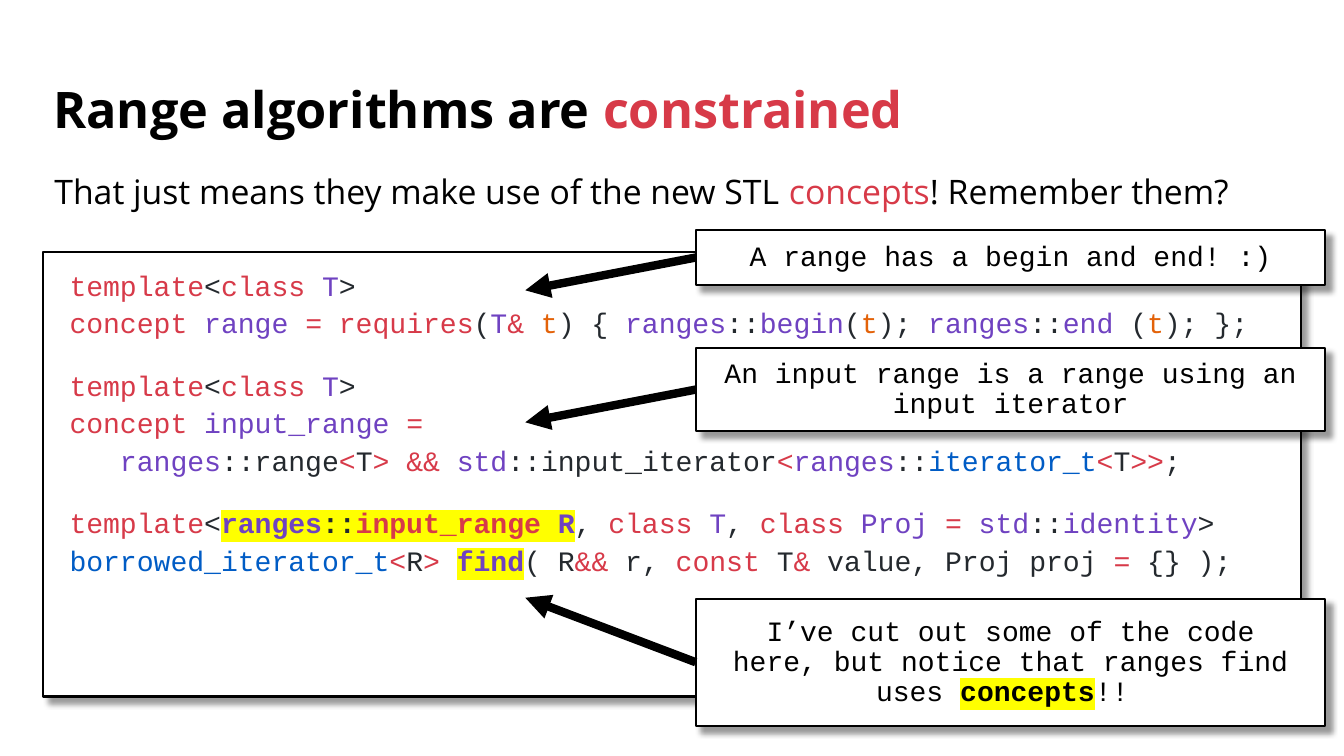
from dataclasses import dataclass

import pptx
import pptx.dml.color
import pptx.enum.shapes
import pptx.enum.text
import pptx.oxml
import pptx.oxml.ns
import pptx.util
from lxml import etree

Inches = pptx.util.Inches
Pt = pptx.util.Pt
qn = pptx.oxml.ns.qn
PP = pptx.enum.text.PP_ALIGN
ANCHOR = pptx.enum.text.MSO_ANCHOR


@dataclass(frozen=True)
class Theme:
    black: str = "000000"
    white: str = "FFFFFF"
    accent: str = "D73A48"
    red: str = "D73A49"
    purple: str = "6F42C1"
    ink: str = "24292E"
    orange: str = "E36209"
    blue: str = "005CC5"
    marker: str = "FFFF00"
    sans: str = "Open Sans"
    mono: str = "Courier New"
    title_size: float = 36
    lead_size: float = 24.1
    code_size: float = 20.1
    note_size: float = 20
    border: float = 1.5
    arrow: float = 6


T = Theme()
RED, PURPLE, INK, ORANGE, BLUE = T.red, T.purple, T.ink, T.orange, T.blue

TEMPLATE = [("template", RED), ("<", INK)]
CLASS_T = [("class ", RED), ("T", PURPLE)]
DECLARATION = TEMPLATE + CLASS_T + [(">", INK)]

CODE_BLOCKS = [
    [
        DECLARATION,
        [("concept ", RED), ("range ", PURPLE), ("= requires", RED), ("(", INK),
         ("T", PURPLE), ("& ", RED), ("t", ORANGE), (") { ", INK),
         ("ranges", PURPLE), ("::", INK), ("begin", PURPLE), ("(", INK),
         ("t", ORANGE), ("); ", INK), ("ranges", PURPLE), ("::", INK),
         ("end", PURPLE), (" (", INK), ("t", ORANGE), ("); };", INK)],
    ],
    [
        DECLARATION,
        [("concept ", RED), ("input_range ", PURPLE), ("=", RED)],
        [("   ranges", PURPLE), ("::range", INK), ("<", RED), ("T", INK),
         ("> && ", RED), ("std", PURPLE), ("::input_iterator", INK), ("<", RED),
         ("ranges", PURPLE), ("::", INK), ("iterator_t", BLUE), ("<", RED),
         ("T", INK), (">>", RED), (";", INK)],
    ],
    [
        TEMPLATE
        + [("ranges", PURPLE, True), ("::", INK, True), ("input_range", RED, True),
           (" ", INK, True), ("R", PURPLE, True), (", ", INK)]
        + CLASS_T
        + [(", ", INK), ("class ", RED), ("Proj ", PURPLE), ("= ", RED),
           ("std", PURPLE), ("::", INK), ("identity", PURPLE), (">", INK)],
        [("borrowed_iterator_t", BLUE), ("<", RED), ("R", INK), ("> ", RED),
         ("find", PURPLE, True), ("( R", INK), ("&&", RED), (" r, ", INK),
         ("const", RED), (" T", INK), ("&", RED), (" value, Proj proj ", INK),
         ("=", RED), (" {} );", INK)],
    ],
]

NOTES = [
    (2.28, 0.55, 2.88, [("A range has a begin and end! :)", T.black)]),
    (3.45, 0.83, 4.19, [("An input range is a range using an input iterator", T.black)]),
    (5.94, 1.26, 5.93, [
        ("I’ve cut out some of the code here, but notice that ranges find uses ", T.black),
        ("concepts", T.black, True), ("!! ", T.black)]),
]


def rgb(value):
    return pptx.dml.color.RGBColor.from_string(value)


def add_run(p, text, color, marked=False, *, font, size, bold=False):
    r = p.add_run()
    r.text = text
    r.font.name = font
    r.font.size = Pt(size)
    r.font.bold = bold or marked
    r.font.color.rgb = rgb(color)
    if marked:
        highlight = etree.Element(qn("a:highlight"))
        etree.SubElement(highlight, qn("a:srgbClr"), val=T.marker)
        r._r.get_or_add_rPr().find(qn("a:solidFill")).addnext(highlight)


def add_line(p, runs, *, spacing=0.9, before=0, align=PP.LEFT, **font):
    p.line_spacing = spacing
    p.space_before = Pt(before)
    p.alignment = align
    for run in runs:
        add_run(p, *run, **font)


def set_frame(tf, left, side, anchor):
    tf.word_wrap = True
    tf.auto_size = pptx.enum.text.MSO_AUTO_SIZE.NONE
    tf.vertical_anchor = anchor
    tf.margin_left = Inches(left)
    tf.margin_right = Inches(side)
    tf.margin_top = tf.margin_bottom = Inches(side if side > 0.1 else 0.05)


def add_heading(s, box, runs, *, left=0.1, anchor=ANCHOR.TOP, **font):
    tf = s.shapes.add_textbox(*map(Inches, box)).text_frame
    set_frame(tf, left, 0.1, anchor)
    add_line(tf.paragraphs[0], runs, font=T.sans, **font)


def add_card(s, box, anchor):
    sp = s.shapes.add_shape(pptx.enum.shapes.MSO_SHAPE.RECTANGLE, *map(Inches, box))
    sp.fill.solid()
    sp.fill.fore_color.rgb = rgb(T.white)
    sp.line.color.rgb = rgb(T.black)
    sp.line.width = Pt(T.border)
    sp.shadow.inherit = False
    effects = sp._element.spPr.find(qn("a:effectLst"))
    shadow = etree.SubElement(
        effects, qn("a:outerShdw"), blurRad=str(Pt(4)), dist=str(Pt(6)),
        dir="2700000", algn="tl", rotWithShape="0")
    color = etree.SubElement(shadow, qn("a:srgbClr"), val=T.black)
    etree.SubElement(color, qn("a:alpha"), val="40000")
    set_frame(sp.text_frame, 0.26, 0.25, anchor)
    return sp.text_frame


def add_code(s, box, blocks):
    tf = add_card(s, box, ANCHOR.TOP)
    for b, block in enumerate(blocks):
        for i, runs in enumerate(block):
            first = b == i == 0
            p = tf.paragraphs[0] if first else tf.add_paragraph()
            before = 0 if first else 10 if i else 27.6
            add_line(p, runs, spacing=0.7, before=before, font=T.mono, size=T.code_size)


def add_arrow(s, start, end):
    c = s.shapes.add_connector(
        pptx.enum.shapes.MSO_CONNECTOR.STRAIGHT, *map(Inches, start + end))
    c.line.color.rgb = rgb(T.black)
    c.line.width = Pt(T.arrow)
    etree.SubElement(c.line._get_or_add_ln(), qn("a:tailEnd"), type="triangle")
    etree.SubElement(c._element.spPr, qn("a:effectLst"))


def add_note(s, box, runs, tip):
    left, top, width, height = box
    tf = add_card(s, box, ANCHOR.MIDDLE)
    add_line(tf.paragraphs[0], runs, align=PP.CENTER, font=T.mono, size=T.note_size)
    add_arrow(s, (left, top + height / 2), tip)


def main():
    prs = pptx.Presentation()
    prs.slide_width = Inches(13.33)
    prs.slide_height = Inches(7.5)
    s = prs.slides.add_slide(prs.slide_layouts[6])
    left, width = 0.43, 12.47
    add_heading(s, (left, 0.69, width, 0.84),
                [("Range algorithms are ", T.black), ("constrained", T.accent)],
                anchor=ANCHOR.MIDDLE, size=T.title_size, bold=True)
    add_code(s, (left, 2.5, width, 4.41), CODE_BLOCKS)
    add_heading(s, (left, 1.69, width, 0.47),
                [("That just means they make use of the new STL ", T.black),
                 ("concepts", T.accent), ("! Remember them?", T.black)],
                left=0.11, size=T.lead_size)
    for top, height, tip_y, runs in NOTES:
        add_note(s, (6.9, top, 6.24, height), runs, (5.21, tip_y))
    prs.save("out.pptx")


if __name__ == "__main__":
    main()
